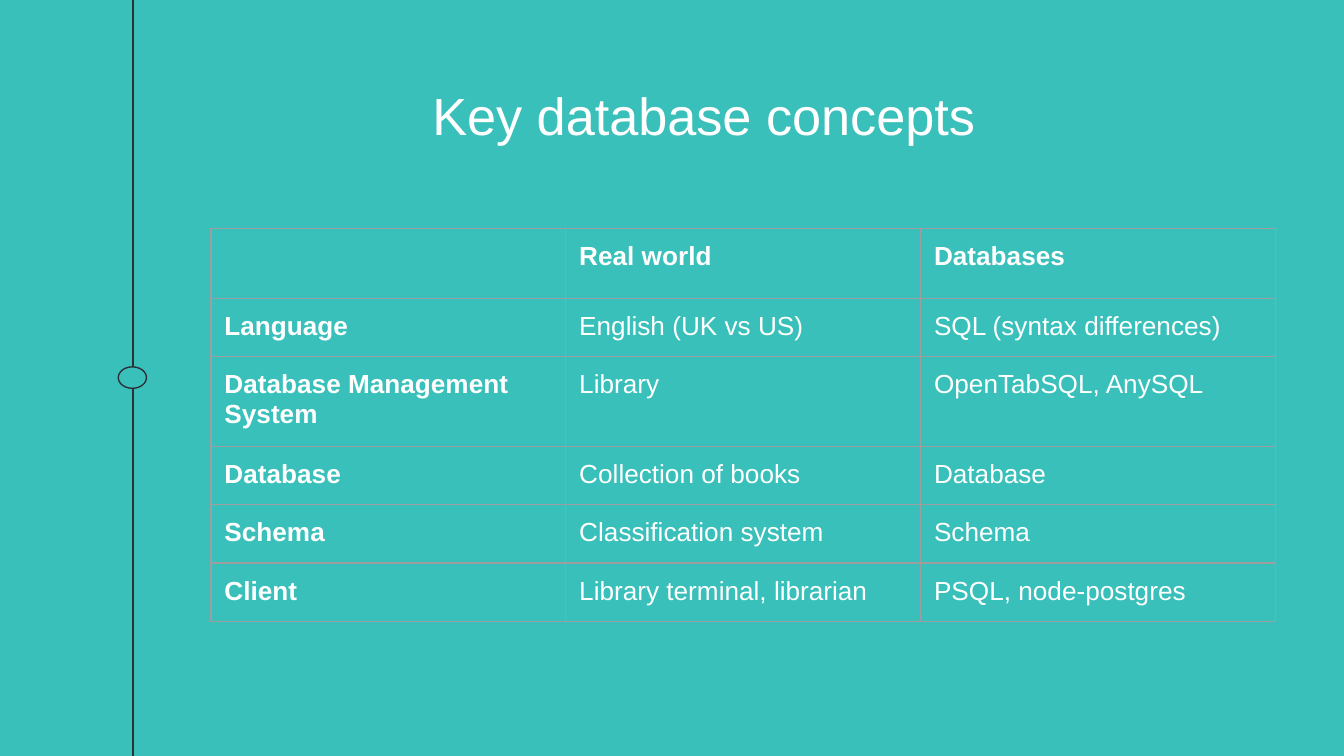
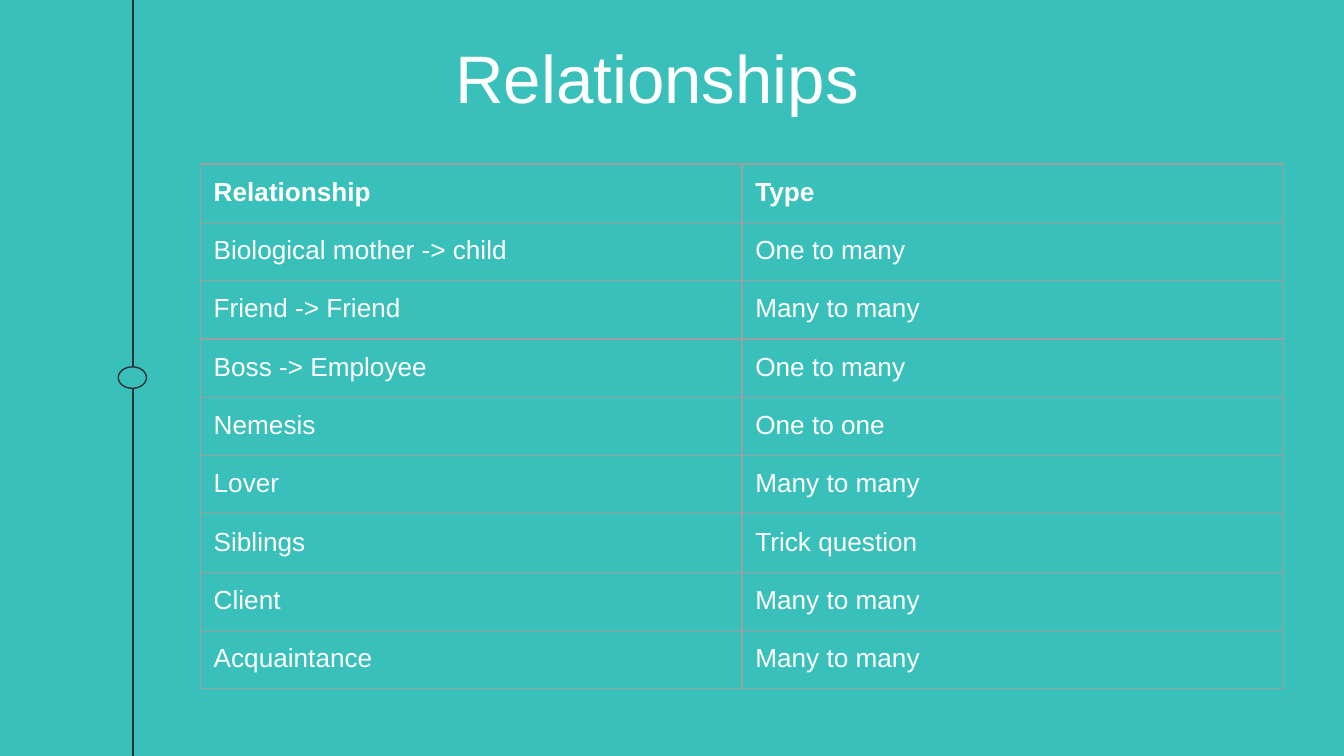
from dataclasses import dataclass

import lxml.etree
import pptx
import pptx.dml.color
import pptx.enum.shapes
import pptx.enum.text
import pptx.oxml.ns
import pptx.util

Inches = pptx.util.Inches
Align = pptx.enum.text.PP_ALIGN
Anchor = pptx.enum.text.MSO_ANCHOR


@dataclass(frozen=True)
class Theme:
    """Colours, type sizes and measures that the slides share."""

    background: str = "39C0BA"
    timeline: str = "2E3037"
    text: str = "FFFFFF"
    border: str = "9E9E9E"
    font: str = "Arial"
    concepts_title_size: int = 28
    relationships_title_size: int = 36
    table_size: int = 14
    line_width: float = 0.75
    inset: float = 0.1
    table_frame: float = 3.28


THEME = Theme()

CONCEPTS = [
    ("", "Real world", "Databases"),
    ("Language", "English (UK vs US)", "SQL (syntax differences)"),
    ("Database Management System", "Library", "OpenTabSQL, AnySQL"),
    ("Database", "Collection of books", "Database"),
    ("Schema", "Classification system", "Schema"),
    ("Client", "Library terminal, librarian", "PSQL, node-postgres"),
]

RELATIONSHIPS = [
    ("Relationship", "Type"),
    ("Biological mother -> child", "One to many"),
    ("Friend -> Friend", "Many to many"),
    ("Boss -> Employee", "One to many"),
    ("Nemesis", "One to one"),
    ("Lover", "Many to many"),
    ("Siblings", "Trick question"),
    ("Client", "Many to many"),
    ("Acquaintance", "Many to many"),
]


def color(value):
    """Turn a hex string into a colour."""
    return pptx.dml.color.RGBColor.from_string(value)


def style_line(line):
    """Give a line the timeline's colour and width."""
    line.color.rgb = color(THEME.timeline)
    line.width = pptx.util.Pt(THEME.line_width)


def set_margins(target):
    """Apply the shared inset to a text frame or a cell."""
    for side in ("left", "top", "right", "bottom"):
        setattr(target, f"margin_{side}", Inches(THEME.inset))


def style_runs(text_frame, size, bold=False):
    """Format every run of a text frame."""
    for paragraph in text_frame.paragraphs:
        for run in paragraph.runs:
            run.font.name = THEME.font
            run.font.size = pptx.util.Pt(size)
            run.font.bold = bold
            run.font.color.rgb = color(THEME.text)


def add_timeline(slide):
    """Draw the vertical line and its round marker."""
    connector = slide.shapes.add_connector(
        pptx.enum.shapes.MSO_CONNECTOR.STRAIGHT,
        Inches(0.99), Inches(-0.01), Inches(0.99), Inches(5.63))
    style_line(connector.line)
    properties = connector._element.spPr
    lxml.etree.SubElement(properties, pptx.oxml.ns.qn("a:effectLst"))
    marker = slide.shapes.add_shape(
        pptx.enum.shapes.MSO_SHAPE.OVAL,
        Inches(0.88), Inches(2.73), Inches(0.21), Inches(0.16))
    marker.shadow.inherit = False
    marker.fill.solid()
    marker.fill.fore_color.rgb = color(THEME.background)
    style_line(marker.line)


def add_base_slide(presentation):
    """Add a blank slide with the background and timeline."""
    slide = presentation.slides.add_slide(presentation.slide_layouts[6])
    fill = slide.background.fill
    fill.solid()
    fill.fore_color.rgb = color(THEME.background)
    add_timeline(slide)
    return slide


def add_title(slide, text, box, size, align=Align.LEFT, anchor=Anchor.TOP):
    """Add a title in a box given as left, top, width, height."""
    text_frame = slide.shapes.add_textbox(*map(Inches, box)).text_frame
    text_frame.word_wrap = True
    text_frame.vertical_anchor = anchor
    set_margins(text_frame)
    text_frame.text = text
    text_frame.paragraphs[0].alignment = align
    style_runs(text_frame, size)


def add_borders(cell):
    """Outline the four sides of a cell."""
    properties = cell._tc.get_or_add_tcPr()
    qn = pptx.oxml.ns.qn
    for index, side in enumerate(("lnL", "lnR", "lnT", "lnB")):
        line = lxml.etree.Element(
            qn(f"a:{side}"), w=str(pptx.util.Pt(THEME.line_width)))
        fill = lxml.etree.SubElement(line, qn("a:solidFill"))
        lxml.etree.SubElement(fill, qn("a:srgbClr"), val=THEME.border)
        properties.insert(index, line)


def add_table(slide, rows, left, top, column_width, header_height,
              row_height, bold_first_column=False):
    """Add an outlined, unfilled table with a bold header row."""
    frame_size = Inches(THEME.table_frame)
    frame = slide.shapes.add_table(
        len(rows), len(rows[0]), Inches(left), Inches(top),
        frame_size, frame_size)
    table = frame.table
    table.first_row = False
    table.horz_banding = False
    for column in table.columns:
        column.width = Inches(column_width)
    for row_index, values in enumerate(rows):
        table.rows[row_index].height = Inches(
            row_height if row_index else header_height)
        for column_index, value in enumerate(values):
            cell = table.cell(row_index, column_index)
            cell.text_frame.text = value
            cell.fill.background()
            set_margins(cell)
            add_borders(cell)
            bold = row_index == 0 or (bold_first_column and column_index == 0)
            style_runs(cell.text_frame, THEME.table_size, bold)
    frame.width = frame.height = frame_size


def add_concepts_slide(presentation):
    """Build the slide that compares databases with a library."""
    slide = add_base_slide(presentation)
    add_title(slide, "Key database concepts", (1.46, 0, 7.55, 1.7),
              THEME.concepts_title_size, Align.CENTER, Anchor.MIDDLE)
    add_table(slide, CONCEPTS, 1.57, 1.7, 2.64, 0.52, 0.42,
              bold_first_column=True)


def add_relationships_slide(presentation):
    """Build the slide that lists relationship types."""
    slide = add_base_slide(presentation)
    add_title(slide, "Relationships", (3.29, 0.17, 4.46, 0.74),
              THEME.relationships_title_size)
    add_table(slide, RELATIONSHIPS, 1.49, 1.22, 4.03, 0.31, 0.43)


def main():
    """Build and save the presentation."""
    presentation = pptx.Presentation()
    presentation.slide_width = Inches(10)
    presentation.slide_height = presentation.slide_width * 9 // 16
    add_concepts_slide(presentation)
    add_relationships_slide(presentation)
    presentation.save("out.pptx")


if __name__ == "__main__":
    main()
